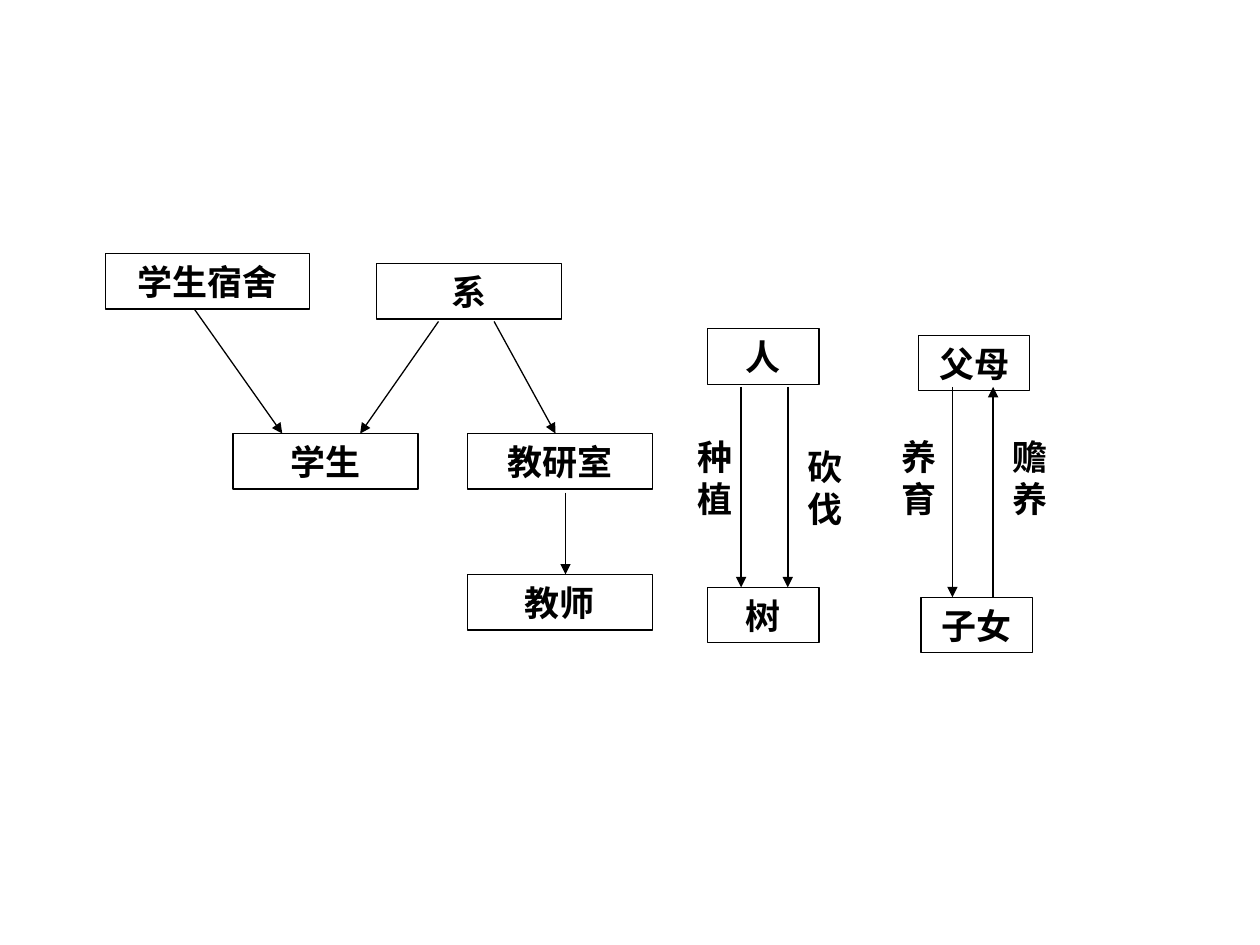
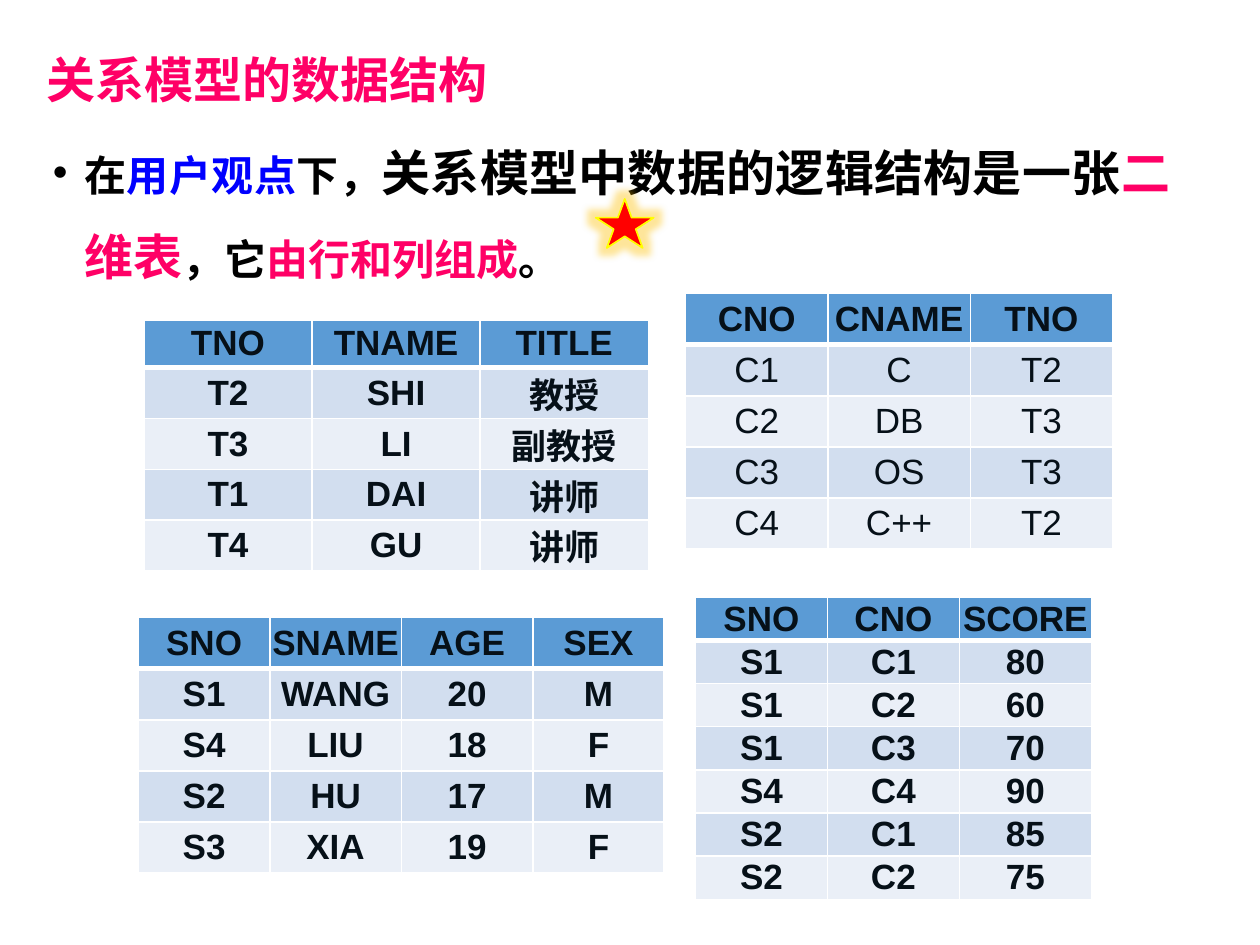
from dataclasses import dataclass

from lxml import etree
from pptx import Presentation
from pptx.dml.color import RGBColor
from pptx.enum.shapes import MSO_CONNECTOR, MSO_SHAPE
from pptx.enum.text import MSO_ANCHOR, MSO_AUTO_SIZE, PP_ALIGN
from pptx.oxml.ns import qn
from pptx.util import Cm, Pt

RECTANGLE = MSO_SHAPE.RECTANGLE
STAR = MSO_SHAPE.STAR_5_POINT
STRAIGHT = MSO_CONNECTOR.STRAIGHT
MIDDLE = MSO_ANCHOR.MIDDLE
TOP = MSO_ANCHOR.TOP
FIXED_SIZE = MSO_AUTO_SIZE.NONE
LEFT = PP_ALIGN.LEFT
CENTER = PP_ALIGN.CENTER
JUSTIFY = PP_ALIGN.JUSTIFY


@dataclass(frozen=True)
class Theme:
    latin: str = "Arial"
    chinese: str = "Noto Sans CJK SC"
    black: str = "000000"
    white: str = "FFFFFF"
    pink: str = "FF0066"
    blue: str = "0000FF"
    red: str = "FF0000"
    yellow: str = "FFFF00"
    glow: str = "FFC000"
    cell_text: str = "061018"
    header_fill: str = "5B9BD5"
    band_fills: tuple = ("D2DEEF", "EAEFF7")
    large: int = 28
    medium: int = 24
    small: int = 20


THEME = Theme()
BOX_HEIGHT = 1.12
LABEL_SIZE = (0.97, 1.96)

BOXES = [
    ("学生宿舍", 2.13, 5.11, 4.11),
    ("系", 7.59, 5.31, 3.73),
    ("学生", 4.7, 8.74, 3.73),
    ("教研室", 9.42, 8.74, 3.73),
    ("教师", 9.42, 11.58, 3.73),
    ("人", 14.27, 6.63, 2.24),
    ("树", 14.27, 11.84, 2.24),
    ("父母", 18.52, 6.76, 2.24),
    ("子女", 18.57, 12.04, 2.24),
]
HIERARCHY_ARROWS = [
    (3.91, 6.22, 5.69, 8.74),
    (8.84, 6.48, 7.26, 8.74),
    (9.96, 6.48, 11.2, 8.74),
    (11.4, 9.93, 11.4, 11.58),
]
RELATION_ARROWS = [
    (14.94, 7.8, 14.94, 11.84),
    (15.88, 7.8, 15.88, 11.84),
    (19.2, 7.8, 19.2, 12.04),
    (20.02, 12.04, 20.02, 7.8),
]
RELATION_LABELS = [
    ("种植", 13.82, 8.66),
    ("砍伐", 16.03, 8.86),
    ("养育", 17.93, 8.66),
    ("赡养", 20.17, 8.66),
]
STATEMENT = [
    ("在", THEME.medium, THEME.black),
    ("用户观点", THEME.medium, THEME.blue),
    ("下，", THEME.medium, THEME.black),
    ("关系模型中数据的逻辑结构是一张", THEME.large, THEME.black),
    ("二维表", THEME.large, THEME.pink),
    ("，它", THEME.medium, THEME.black),
    ("由行和列组成", THEME.medium, THEME.pink),
    ("。", THEME.medium, THEME.black),
]
TEACHERS = [
    ("TNO", "TNAME", "TITLE"),
    ("T2", "SHI", "教授"),
    ("T3", "LI", "副教授"),
    ("T1", "DAI", "讲师"),
    ("T4", "GU", "讲师"),
]
COURSES = [
    ("CNO", "CNAME", "TNO"),
    ("C1", "C", "T2"),
    ("C2", "DB", "T3"),
    ("C3", "OS", "T3"),
    ("C4", "C++", "T2"),
]
STUDENTS = [
    ("SNO", "SNAME", "AGE", "SEX"),
    ("S1", "WANG", "20", "M"),
    ("S4", "LIU", "18", "F"),
    ("S2", "HU", "17", "M"),
    ("S3", "XIA", "19", "F"),
]
SCORES = [
    ("SNO", "CNO", "SCORE"),
    ("S1", "C1", "80"),
    ("S1", "C2", "60"),
    ("S1", "C3", "70"),
    ("S4", "C4", "90"),
    ("S2", "C1", "85"),
    ("S2", "C2", "75"),
]


def color(code):
    return RGBColor.from_string(code)


def place(shape, left, top, width, height):
    shape.left, shape.top = Cm(left), Cm(top)
    shape.width, shape.height = Cm(width), Cm(height)


def format_span(span, size, code, latin=THEME.chinese, bold=True):
    font = span.font
    font.size, font.bold, font.name = Pt(size), bold, latin
    font.color.rgb = color(code)
    properties = span._r.get_or_add_rPr()
    east_asian = etree.SubElement(properties, qn("a:ea"))
    east_asian.set("typeface", THEME.chinese)


def write_centered(shape, text, anchor):
    frame = shape.text_frame
    frame.text = text
    frame.word_wrap = True
    frame.auto_size = FIXED_SIZE
    frame.vertical_anchor = anchor
    para = frame.paragraphs[0]
    para.alignment = CENTER
    para.line_spacing = Pt(24)
    format_span(para.runs[0], THEME.small, THEME.black)


def add_box(page, text, left, top, width):
    box = page.shapes.add_shape(RECTANGLE, Cm(left), Cm(top), Cm(width), Cm(BOX_HEIGHT))
    box.shadow.inherit = False
    box.fill.background()
    box.line.color.rgb = color(THEME.black)
    box.line.width = Pt(0.75)
    write_centered(box, text, MIDDLE)


def add_label(page, text, left, top):
    width, height = LABEL_SIZE
    label = page.shapes.add_textbox(Cm(left), Cm(top), Cm(width), Cm(height))
    write_centered(label, text, TOP)


def add_arrow(page, ends, weight):
    arrow = page.shapes.add_connector(STRAIGHT, *(Cm(value) for value in ends))
    arrow.line.color.rgb = color(THEME.black)
    arrow.line.width = Pt(weight)
    tip = etree.SubElement(arrow.line._get_or_add_ln(), qn("a:tailEnd"))
    tip.set("type", "triangle")
    etree.SubElement(arrow._element.spPr, qn("a:effectLst"))


def set_title(page, text):
    title = page.shapes.title
    place(title, 0.69, 0.56, 21.89, 2.21)
    frame = title.text_frame
    frame.text = text
    frame.auto_size = FIXED_SIZE
    frame.vertical_anchor = MIDDLE
    para = frame.paragraphs[0]
    para.alignment = LEFT
    para.line_spacing = 0.9
    format_span(para.runs[0], THEME.large, THEME.pink)


def set_statement(page, spans):
    body = page.placeholders[1]
    place(body, 0.81, 2.16, 23.04, 11.43)
    frame = body.text_frame
    frame.auto_size = FIXED_SIZE
    frame.vertical_anchor = TOP
    frame.margin_top = Cm(0.2)
    para = frame.paragraphs[0]
    para.alignment = JUSTIFY
    para.line_spacing = Pt(48)
    para.space_before = Pt(0)
    properties = para._p.get_or_add_pPr()
    indent = Cm(0.64)
    properties.set("marL", str(indent))
    properties.set("indent", str(-indent))
    etree.SubElement(properties, qn("a:buFont")).set("typeface", THEME.latin)
    etree.SubElement(properties, qn("a:buChar")).set("char", "•")
    for text, size, code in spans:
        span = para.add_run()
        span.text = text
        format_span(span, size, code)


def set_borders(cell, top_weight, bottom_weight):
    properties = cell._tc.get_or_add_tcPr()
    weights = {"a:lnL": 1, "a:lnR": 1, "a:lnT": top_weight, "a:lnB": bottom_weight}
    for tag, weight in weights.items():
        border = etree.SubElement(properties, qn(tag), w=str(Pt(weight)))
        fill = etree.SubElement(border, qn("a:solidFill"))
        etree.SubElement(fill, qn("a:srgbClr"), val=THEME.white)


def format_cell(cell, text, row_index, bold):
    header = row_index == 0
    set_borders(cell, 3 if row_index == 1 else 1, 3 if header else 1)
    cell.fill.solid()
    band = THEME.band_fills[(row_index - 1) % 2]
    cell.fill.fore_color.rgb = color(THEME.header_fill if header else band)
    cell.margin_left = cell.margin_right = cell.margin_top = cell.margin_bottom = 0
    cell.vertical_anchor = MIDDLE
    cell.text = text
    para = cell.text_frame.paragraphs[0]
    para.alignment = CENTER
    format_span(para.runs[0], THEME.small, THEME.cell_text, THEME.latin, header or bold)


def add_relation(page, records, left, top, column_width, row_height, bold=True):
    rows, columns = len(records), len(records[0])
    table = page.shapes.add_table(
        rows, columns, Cm(left), Cm(top),
        Cm(column_width * columns), Cm(row_height * rows),
    ).table
    for column in table.columns:
        column.width = Cm(column_width)
    for row_index, record in enumerate(records):
        table.rows[row_index].height = Cm(row_height)
        for column_index, text in enumerate(record):
            format_cell(table.cell(row_index, column_index), text, row_index, bold)


def add_star(page):
    star = page.shapes.add_shape(STAR, Cm(12.01), Cm(4.01), Cm(1.17), Cm(0.99))
    star.fill.solid()
    star.fill.fore_color.rgb = color(THEME.red)
    star.line.color.rgb = color(THEME.yellow)
    star.line.width = Pt(1)
    star.shadow.inherit = False
    effects = star._element.spPr.find(qn("a:effectLst"))
    glow = etree.SubElement(effects, qn("a:glow"), rad=str(Pt(8)))
    shade = etree.SubElement(glow, qn("a:srgbClr"), val=THEME.glow)
    etree.SubElement(shade, qn("a:alpha"), val="40000")


def build_network_page(deck):
    page = deck.slides.add_slide(deck.slide_layouts[6])
    for box in BOXES:
        add_box(page, *box)
    for ends in HIERARCHY_ARROWS:
        add_arrow(page, ends, 0.75)
    for ends in RELATION_ARROWS:
        add_arrow(page, ends, 1)
    for label in RELATION_LABELS:
        add_label(page, *label)


def build_relational_page(deck):
    page = deck.slides.add_slide(deck.slide_layouts[1])
    set_title(page, "关系模型的数据结构")
    set_statement(page, STATEMENT)
    add_relation(page, TEACHERS, 2.9, 6.45, 3.39, 0.96)
    add_relation(page, COURSES, 13.82, 5.92, 2.87, 1.03, bold=False)
    add_relation(page, STUDENTS, 2.79, 12.45, 2.65, 1.03)
    add_relation(page, SCORES, 14.02, 12.04, 2.66, 0.87)
    add_star(page)


def main():
    deck = Presentation()
    deck.slide_width, deck.slide_height = Cm(25.4), Cm(19.05)
    build_network_page(deck)
    build_relational_page(deck)
    deck.save("out.pptx")


if __name__ == "__main__":
    main()
